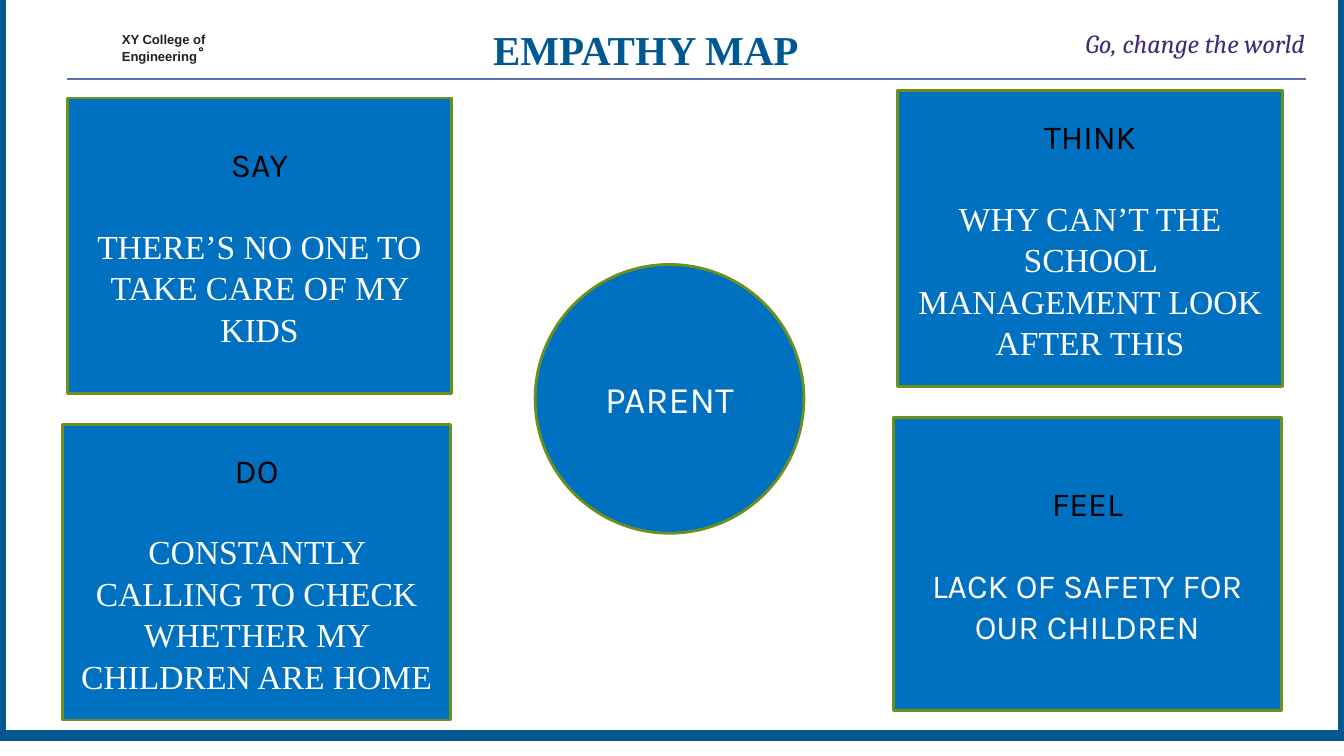
"""Build an empathy map slide for a parent."""
from dataclasses import dataclass

from lxml import etree
from pptx import Presentation
from pptx.dml.color import RGBColor
from pptx.enum.shapes import MSO_CONNECTOR, MSO_SHAPE
from pptx.enum.text import MSO_ANCHOR, MSO_AUTO_SIZE, PP_ALIGN
from pptx.oxml.ns import qn
from pptx.util import Pt

RECTANGLE, OVAL, DONUT = MSO_SHAPE.RECTANGLE, MSO_SHAPE.OVAL, MSO_SHAPE.DONUT
STRAIGHT = MSO_CONNECTOR.STRAIGHT
TOP, MIDDLE = MSO_ANCHOR.TOP, MSO_ANCHOR.MIDDLE
LEFT, CENTER, RIGHT = PP_ALIGN.LEFT, PP_ALIGN.CENTER, PP_ALIGN.RIGHT
NO_AUTOFIT = MSO_AUTO_SIZE.NONE
TITLE_ONLY = 5


@dataclass(frozen=True)
class Theme:
    """Colours, fonts and type sizes of the slide."""
    white: str = "FFFFFF"
    black: str = "000000"
    ink: str = "231F20"
    navy: str = "005893"
    blue: str = "0070C0"
    green: str = "6B901C"
    rule: str = "5E6DB3"
    purple: str = "422C75"
    sans: str = "Karla"
    serif: str = "Times New Roman"
    motto: str = "Cambria"
    label: str = "Arial"
    small: float = 7
    motto_size: float = 14
    body: float = 18
    centre: float = 20
    heading: float = 22


@dataclass(frozen=True)
class Area:
    """A place on the page, in points."""
    left: float
    top: float
    width: float
    height: float

    def lengths(self) -> tuple:
        """Return the four lengths for an add method."""
        return Pt(self.left), Pt(self.top), Pt(self.width), Pt(self.height)


@dataclass(frozen=True)
class Quadrant:
    """One box of the map: its place, name and message."""
    area: Area
    name: str
    message: str
    font: str


THEME = Theme()
QUADRANTS = (
    Quadrant(Area(36, 52.5, 206, 158.5), "SAY",
             "THERE’S NO ONE TO TAKE CARE OF MY KIDS", THEME.serif),
    Quadrant(Area(481, 48.3, 206, 159), "THINK",
             "WHY CAN’T THE SCHOOL MANAGEMENT LOOK AFTER THIS", THEME.serif),
    Quadrant(Area(33.5, 227.3, 208, 158.5), "DO",
             "CONSTANTLY CALLING TO CHECK WHETHER MY CHILDREN ARE HOME", THEME.serif),
    Quadrant(Area(478.5, 223.7, 208, 157), "FEEL",
             "LACK OF SAFETY FOR OUR CHILDREN", THEME.sans),
)


def write(para, text: str, *, font: str, size: float, color: str, align=CENTER,
          bold=False, italic=False, spacing=1.0, before=0.0) -> None:
    """Write formatted text into a paragraph."""
    para.alignment = align
    para.line_spacing = spacing
    para.space_before = Pt(before)
    span = para.add_run()
    span.text = text
    span.font.name = font
    span.font.size = Pt(size)
    span.font.bold = bold
    span.font.italic = italic
    span.font.color.rgb = RGBColor.from_string(color)


def prepare_frame(box):
    """Make a text frame wrap without insets and return it."""
    frame = box.text_frame
    frame.word_wrap = True
    frame.auto_size = NO_AUTOFIT
    frame.vertical_anchor = TOP
    frame.margin_left = frame.margin_right = frame.margin_top = frame.margin_bottom = 0
    return frame


def add_box(page, preset, area: Area, *, fill: str, line="", weight=0.0):
    """Add a filled shape, with an outline if a line colour is given."""
    box = page.shapes.add_shape(preset, *area.lengths())
    box.shadow.inherit = False
    box.fill.solid()
    box.fill.fore_color.rgb = RGBColor.from_string(fill)
    if line:
        box.line.color.rgb = RGBColor.from_string(line)
        box.line.width = Pt(weight)
    else:
        box.line.fill.background()
    box.text_frame.word_wrap = True
    box.text_frame.vertical_anchor = MIDDLE
    return box


def add_header(page) -> None:
    """Add the rule, college name, motto and heading."""
    rule = page.shapes.add_connector(STRAIGHT, Pt(36), Pt(42.5), Pt(699.7), Pt(42.5))
    rule.line.color.rgb = RGBColor.from_string(THEME.rule)
    rule.line.width = Pt(1.25)
    etree.SubElement(rule.element.spPr, qn("a:effectLst"))

    add_box(page, DONUT, Area(106.6, 25.3, 2.2, 2.2), fill=THEME.ink)
    college = prepare_frame(page.shapes.add_textbox(*Area(65.3, 16.5, 60, 18).lengths()))
    for index, text in enumerate(("XY College of", "Engineering")):
        para = college.add_paragraph() if index else college.paragraphs[0]
        write(para, text, font=THEME.label, size=THEME.small, color=THEME.ink,
              align=LEFT, bold=True, spacing=1.06)

    title = page.shapes.title
    title.left, title.top, title.width, title.height = Area(567.4, 14.4, 131.8, 17.3).lengths()
    title.element.getparent().append(title.element)
    write(prepare_frame(title).paragraphs[0], "Go, change the world", font=THEME.motto,
          size=THEME.motto_size, color=THEME.purple, align=RIGHT, italic=True)

    heading = page.shapes.add_textbox(*Area(90, 13, 512, 27).lengths())
    write(prepare_frame(heading).paragraphs[0], "EMPATHY MAP", font=THEME.serif,
          size=THEME.heading, color=THEME.navy, bold=True)


def add_quadrant(page, quadrant: Quadrant) -> None:
    """Add one box of the map with its name above its message."""
    box = add_box(page, RECTANGLE, quadrant.area, fill=THEME.blue,
                  line=THEME.green, weight=1.5)
    frame = box.text_frame
    write(frame.paragraphs[0], quadrant.name, font=THEME.sans, size=THEME.body,
          color=THEME.black, spacing=1.03)
    write(frame.add_paragraph(), quadrant.message, font=quadrant.font, size=THEME.body,
          color=THEME.white, spacing=1.03, before=21.5)


def main() -> None:
    """Build and save the deck."""
    deck = Presentation()
    deck.slide_width, deck.slide_height = Pt(720), Pt(405)
    page = deck.slides.add_slide(deck.slide_layouts[TITLE_ONLY])
    add_box(page, RECTANGLE, Area(0, -11, 720, 405), fill=THEME.white,
            line=THEME.navy, weight=6)
    add_header(page)
    for quadrant in QUADRANTS:
        add_quadrant(page, quadrant)
    parent = add_box(page, OVAL, Area(286.7, 141.7, 144, 144), fill=THEME.blue,
                     line=THEME.green, weight=1.5)
    write(parent.text_frame.paragraphs[0], "PARENT", font=THEME.sans,
          size=THEME.centre, color=THEME.white)
    deck.save("out.pptx")


if __name__ == "__main__":
    main()
